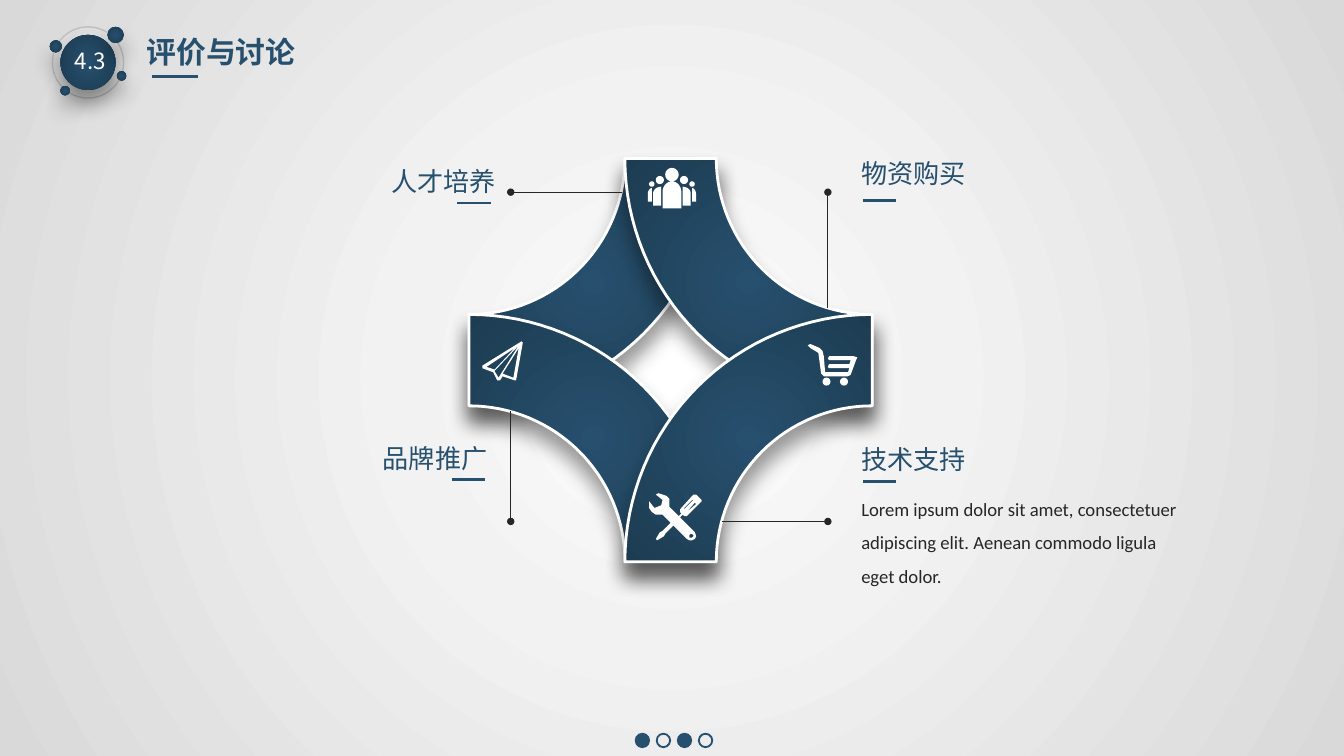
from math import cos, radians, sin

from lxml import etree
from pptx import Presentation
from pptx import util as u
from pptx.dml import color
from pptx.enum import shapes, text
from pptx.oxml import parse_xml
from pptx.oxml.ns import qn

NS = 'xmlns:a="http://schemas.openxmlformats.org/drawingml/2006/main"'
CJK = "Noto Sans CJK SC"
BLUE, NAVY, INK, WHITE = "27506E", "1D3C52", "262626", "FFFFFF"
BLUE_STOPS = [(0, BLUE), (100, NAVY)]
PAGE_STOPS = [(0, WHITE), (35, "F2F2F2"), (100, "D9D9D9")]
START, MIDDLE, END = text.PP_ALIGN.LEFT, text.PP_ALIGN.CENTER, text.PP_ALIGN.RIGHT

# Content: label, left, top, alignment, left and height of its underline
LABELS = [
    ("人才培养", 2.8, 1.18, END, 3.4, 1.51),
    ("物资购买", 6.31, 1.12, START, 6.42, 1.49),
    ("品牌推广", 2.75, 3.24, START, 3.36, 3.57),
    ("技术支持", 6.31, 3.25, START, 6.42, 3.58),
]
BODY = ("Lorem ipsum dolor sit amet, consectetuer adipiscing elit. "
        "Aenean commodo ligula eget dolor.")
LEADERS = [(4.63, 1.43, 3.8, 1.43), (3.8, 3.06, 3.8, 3.88),
           (5.37, 3.88, 6.16, 3.88), (6.16, 2.29, 6.16, 1.43)]
BADGE_DOTS = [(0.45, 0.26, 0.41), (0.8, 0.2, 0.12), (0.37, 0.3, 0.09),
              (0.45, 0.64, 0.07), (0.87, 0.53, 0.07)]

# Knot of four quarter rings, each centred on a corner of a square
LEFT, TOP, SIDE = 3.49, 1.18, 3.0
INNER, OUTER = 1.16, 1.84
RINGS = [(0, 0, 0), (0, 1, 270), (1, 0, 90), (1, 1, 180)]  # column, row, angle

# Icon outlines; later contours of an icon cut holes in the first
CART = [[(6.35, 2.65), (6.17, 2.65), (6.16, 2.67), (6.17, 2.68), (6.33, 2.68),
         (6.32, 2.71), (6.17, 2.71), (6.16, 2.73), (6.17, 2.74), (6.32, 2.74),
         (6.31, 2.77), (6.14, 2.77), (6.13, 2.65), (6.12, 2.61), (6.1, 2.59),
         (6.03, 2.56), (6.01, 2.57), (6.03, 2.59), (6.08, 2.62), (6.09, 2.63),
         (6.11, 2.78), (6.13, 2.8), (6.31, 2.8), (6.33, 2.79), (6.37, 2.68),
         (6.38, 2.66)]]
PLANE = [[(3.88, 2.54), (3.59, 2.72), (3.59, 2.74), (3.67, 2.77), (3.7, 2.83),
          (3.72, 2.83), (3.74, 2.8), (3.83, 2.83), (3.84, 2.83), (3.89, 2.55)],
         [(3.82, 2.81), (3.74, 2.78), (3.86, 2.59)],
         [(3.68, 2.76), (3.86, 2.57), (3.71, 2.81)],
         [(3.62, 2.73), (3.83, 2.59), (3.68, 2.75)]]
TOOLS = [[(5.22, 3.72), (5.18, 3.68), (5.16, 3.68), (5.15, 3.69), (5.06, 3.79),
          (5.06, 3.81), (5.07, 3.82), (5.05, 3.84), (4.98, 3.77), (4.98, 3.71),
          (4.96, 3.69), (4.93, 3.68), (4.9, 3.67), (4.88, 3.68), (4.93, 3.72),
          (4.92, 3.76), (4.87, 3.78), (4.83, 3.73), (4.83, 3.78), (4.85, 3.81),
          (4.88, 3.83), (4.93, 3.83), (4.99, 3.89), (4.93, 3.95), (4.91, 3.96),
          (4.88, 4.01), (4.89, 4.02), (4.94, 3.99), (4.95, 3.97), (5.01, 3.91),
          (5.11, 4.01), (5.13, 4.02), (5.15, 4.02), (5.17, 4.01), (5.18, 3.99),
          (5.17, 3.96), (5.06, 3.85), (5.08, 3.83), (5.09, 3.84), (5.11, 3.84),
          (5.2, 3.75), (5.21, 3.74), (5.22, 3.73)],
         [(5.14, 3.97), (5.16, 3.98), (5.16, 3.99), (5.15, 4), (5.13, 4),
          (5.13, 3.98)],
         [(5.09, 3.79), (5.09, 3.78), (5.15, 3.72), (5.16, 3.72)],
         [(5.11, 3.81), (5.17, 3.74), (5.18, 3.75)]]


def rgb(value):
    return color.RGBColor.from_string(value)


def arc(x, y, rx, ry, start, end, steps=32):
    """Points along an ellipse, angles running clockwise from the right."""
    angles = [radians(start + (end - start) * i / steps) for i in range(steps + 1)]
    return [(x + rx * cos(a), y + ry * sin(a)) for a in angles]


def radial(parent, stops):
    """Swap the solid fill of parent for a radial gradient."""
    marks = "".join(f'<a:gs pos="{pos * 1000}"><a:srgbClr val="{value}"/></a:gs>'
                    for pos, value in stops)
    solid = parent.find(qn("a:solidFill"))
    parent.replace(solid, parse_xml(
        f'<a:gradFill {NS} rotWithShape="1"><a:gsLst>{marks}</a:gsLst>'
        '<a:path path="circle"><a:fillToRect l="50000" t="50000" r="50000" '
        'b="50000"/></a:path></a:gradFill>'))


def style(shape, fill=None, line=None, width=1, raised=False):
    shape.shadow.inherit = False
    if fill:
        shape.fill.solid()
        shape.fill.fore_color.rgb = rgb(fill)
    else:
        shape.fill.background()
    if line:
        shape.line.color.rgb = rgb(line)
        shape.line.width = u.Pt(width)
    else:
        shape.line.fill.background()
    if raised:  # gradient face with a soft shadow below
        props = shape._element.spPr
        radial(props, BLUE_STOPS)
        props.find(qn("a:effectLst")).append(parse_xml(
            f'<a:outerShdw {NS} blurRad="{u.Pt(11)}" dist="{u.Pt(8)}" dir="5400000" '
            'algn="t" rotWithShape="0"><a:srgbClr val="000000"><a:alpha val="40000"/>'
            '</a:srgbClr></a:outerShdw>'))


def add_circle(page, left, top, size, **look):
    circle = page.shapes.add_shape(shapes.MSO_SHAPE.OVAL, u.Inches(left),
                                   u.Inches(top), u.Inches(size), u.Inches(size))
    style(circle, **look)


def add_outline(page, contours, **look):
    contours = [[(u.Inches(x), u.Inches(y)) for x, y in points] for points in contours]
    builder = page.shapes.build_freeform(*contours[0][0])
    for index, points in enumerate(contours):
        if index:
            builder.move_to(*points[0])
        builder.add_line_segments(points[1:], close=True)
    style(builder.convert_to_shape(), **look)


def add_line(page, x1, y1, x2, y2, ink=BLUE, width=1.5, dot=False):
    line = page.shapes.add_connector(shapes.MSO_CONNECTOR.STRAIGHT, u.Inches(x1),
                                     u.Inches(y1), u.Inches(x2), u.Inches(y2))
    line.line.color.rgb = rgb(ink)
    line.line.width = u.Pt(width)
    if dot:
        etree.SubElement(line.line._get_or_add_ln(), qn("a:tailEnd"),
                         type="oval", w="sm", len="sm")
    etree.SubElement(line._element.spPr, qn("a:effectLst"))


def add_text(page, words, left, top, width, height, size=14, ink=BLUE, font=CJK,
             bold=False, align=START, wrap=False, spacing=None):
    box = page.shapes.add_textbox(u.Inches(left), u.Inches(top),
                                  u.Inches(width), u.Inches(height))
    box.text_frame.word_wrap = wrap
    para = box.text_frame.paragraphs[0]
    para.alignment = align
    para.line_spacing = spacing
    span = para.add_run()
    span.text = words
    span.font.size = u.Pt(size)
    span.font.bold = bold
    span.font.color.rgb = rgb(ink)
    span.font.name = font
    etree.SubElement(span._r.get_or_add_rPr(), qn("a:ea"), typeface=font)


def people_contours():
    """A middle figure and two smaller ones mirrored on each side."""
    middle = 5.0
    contours = [arc(middle, 1.3, 0.05, 0.05, 0, 360),
                [(4.93, 1.55)] + arc(middle, 1.43, 0.07, 0.08, 180, 360) + [(5.07, 1.55)]]
    for side in (-1, 1):
        for head, head_y, r, near, far, top, bottom in [
                (0.09, 1.34, 0.03, 0.08, 0.14, 1.39, 1.53),
                (0.15, 1.37, 0.02, 0.15, 0.18, 1.4, 1.5)]:
            contours.append(arc(middle + side * head, head_y, r, r, 0, 360))
            shoulder = arc(middle + side * near, top + 0.05, side * (far - near),
                           0.05, 270, 360)
            contours.append(shoulder + [(middle + side * far, bottom),
                                        (middle + side * near, bottom)])
    return contours


def main():
    deck = Presentation()
    deck.slide_width = u.Inches(10)
    deck.slide_height = deck.slide_width * 9 // 16
    page = deck.slides.add_slide(deck.slide_layouts[6])
    page.background.fill.solid()
    radial(page._element.cSld.bg.bgPr, PAGE_STOPS)

    # Number badge and title
    add_circle(page, 0.39, 0.2, 0.53, line="BFBFBF", width=0.75)
    for left, top, size in BADGE_DOTS:
        add_circle(page, left, top, size, fill=BLUE, raised=True)
    add_text(page, "4.3", 0.46, 0.3, 0.43, 0.3, size=12, ink=WHITE)
    add_text(page, "评价与讨论", 0.99, 0.2, 1.31, 0.37, size=16, bold=True, align=MIDDLE)
    add_line(page, 1.13, 0.57, 1.47, 0.57)

    # Page dots, every second one filled
    for i in range(4):
        add_circle(page, 4.73 + i * 0.47 / 3, 5.46, 0.1, line=BLUE,
                   fill=None if i % 2 else BLUE)

    # Knot
    for column, row, angle in RINGS:
        x, y = LEFT + column * SIDE, TOP + row * SIDE
        ring = (arc(x, y, OUTER, OUTER, angle, angle + 90)
                + arc(x, y, INNER, INNER, angle + 90, angle))
        add_outline(page, [ring], fill=BLUE, line=WHITE, width=1.5, raised=True)
    for ends in LEADERS:
        add_line(page, *ends, ink=INK, width=0.5, dot=True)

    # Icons
    for contours in (people_contours(), CART, PLANE, TOOLS):
        add_outline(page, contours, fill=WHITE)
    for left in (6.12, 6.25):
        add_circle(page, left, 2.81, 0.06, fill=WHITE)

    # Labels and body text
    for label, left, top, align, rule_left, rule_y in LABELS:
        add_text(page, label, left, top, 0.99, 0.34, align=align)
        add_line(page, rule_left, rule_y, rule_left + 0.25, rule_y)
    add_text(page, BODY, 6.31, 3.57, 2.59, 0.86, size=10, ink=INK, font="Calibri",
             wrap=True, spacing=1.5)
    deck.save("out.pptx")


if __name__ == "__main__":
    main()
